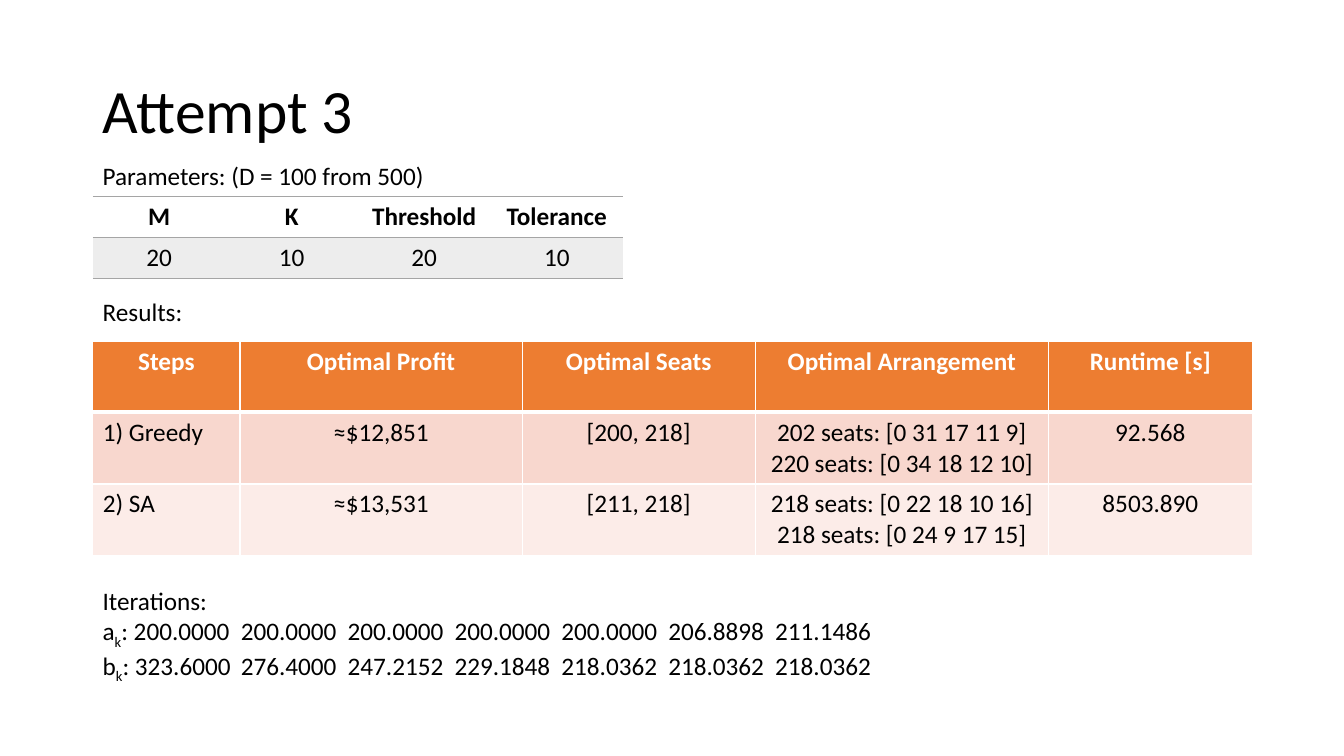
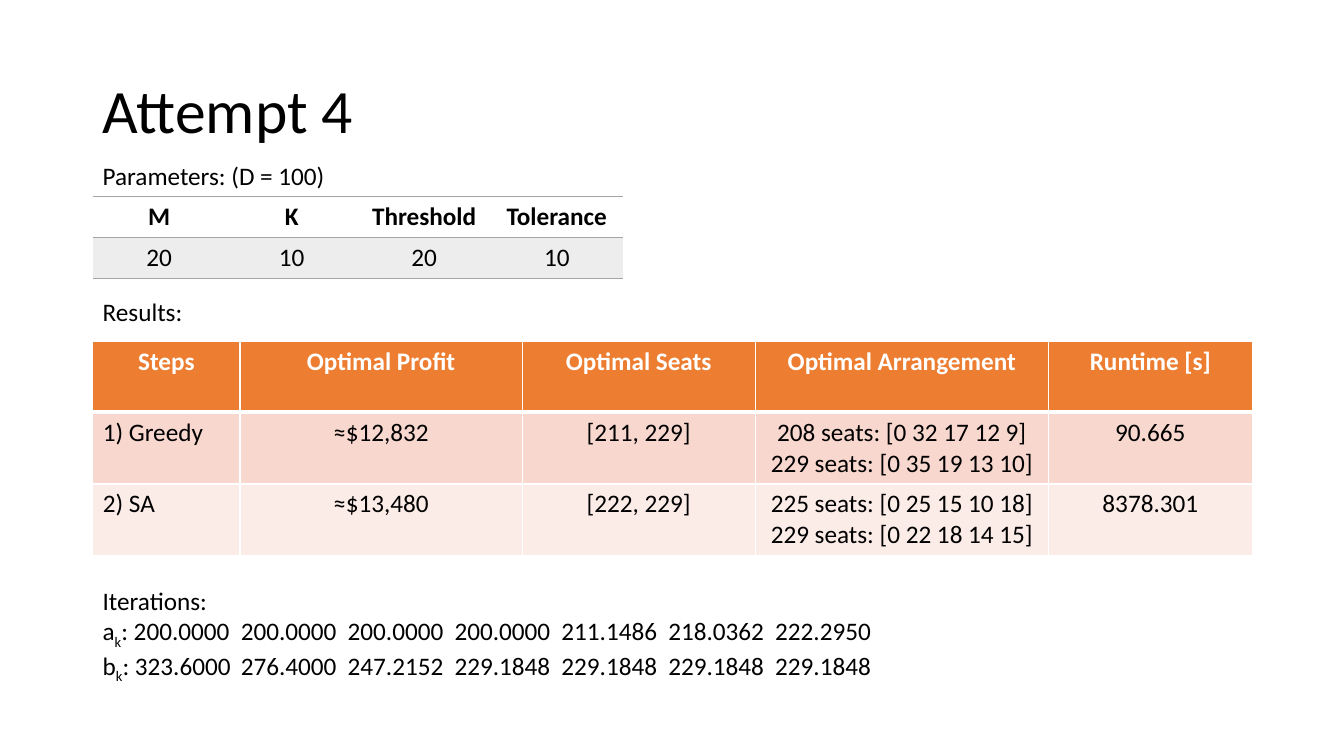
import pptx
import pptx.util
import pptx.dml.color
import pptx.enum.text
import pptx.oxml

Inches = pptx.util.Inches
RGBColor = pptx.dml.color.RGBColor
ALIGN = pptx.enum.text.PP_ALIGN
ANCHOR = pptx.enum.text.MSO_ANCHOR
FIT = pptx.enum.text.MSO_AUTO_SIZE

# Colours and shared measures
BLACK = RGBColor(0x00, 0x00, 0x00)
WHITE = RGBColor(0xFF, 0xFF, 0xFF)
GREY = RGBColor(0xA5, 0xA5, 0xA5)
PALE = RGBColor(0xED, 0xED, 0xED)
ORANGE = RGBColor(0xED, 0x7D, 0x31)
ROSE = RGBColor(0xF8, 0xD7, 0xCE)
BLUSH = RGBColor(0xFC, 0xEC, 0xE8)
LEFT, WIDE = 0.92, 11.5
NS = 'xmlns:a="http://schemas.openxmlformats.org/drawingml/2006/main"'


class Deck:
    """Holds the text style and the current slide."""

    font = {"name": "Calibri", "size": pptx.util.Pt(18), "bold": False}

    def __init__(self):
        self.file = pptx.Presentation()
        self.file.slide_width = Inches(13.33)
        self.file.slide_height = Inches(7.5)
        self.slide = None

    def style(self, run, color=BLACK, **more):
        for key, value in {**self.font, **more}.items():
            setattr(run.font, key, value)
        run.font.color.rgb = color

    def words(self, para, text, color=BLACK, **more):
        run = para.add_run()
        run.text = text
        self.style(run, color, **more)
        return run

    def title(self, text):
        self.slide = self.file.slides.add_slide(self.file.slide_layouts[5])
        head = self.slide.shapes.title
        place = {"left": LEFT, "top": 0.4, "width": WIDE, "height": 1.45}
        for key, value in place.items():
            setattr(head, key, Inches(value))
        head.text_frame.vertical_anchor = ANCHOR.MIDDLE
        para = head.text_frame.paragraphs[0]
        para.alignment = ALIGN.LEFT
        para.line_spacing = 0.9
        self.words(para, text, size=pptx.util.Pt(44))

    def text(self, top, width, height, text):
        box = self.slide.shapes.add_textbox(
            Inches(LEFT), Inches(top), Inches(width), Inches(height))
        frame = box.text_frame
        frame.word_wrap = True
        frame.auto_size = FIT.SHAPE_TO_FIT_TEXT
        self.words(frame.paragraphs[0], text)
        return frame

    def series(self, frame, name, values):
        """Adds a line of values under a subscripted name, set on tab stops."""
        para = frame.add_paragraph()
        self.words(para, name)
        sub = self.words(para, "k")
        sub._r.get_or_add_rPr().set("baseline", "-25000")
        self.words(para, ": " + "\t".join(values.split()))
        stops = "".join(f'<a:tab pos="{Inches(1.37 + 1.06 * i)}" algn="l"/>'
                        for i in range(len(values.split()) - 1))
        para._p.get_or_add_pPr().append(
            pptx.oxml.parse_xml(f"<a:tabLst {NS}>{stops}</a:tabLst>"))

    def border(self, cell, lines):
        """Draws the sides given as (colour, points); the others stay bare."""
        props = cell._tc.get_or_add_tcPr()
        for spot, side in enumerate("LRTB"):
            color, width = lines.get(side, (None, 0))
            paint = (f'<a:solidFill><a:srgbClr val="{color}"/></a:solidFill>'
                     if color else "<a:noFill/>")
            props.insert(spot, pptx.oxml.parse_xml(
                f'<a:ln{side} {NS} w="{pptx.util.Pt(width)}">{paint}</a:ln{side}>'))

    def table(self, top, cols, height, rows, fills, ink, edges, lefts=()):
        grid = self.slide.shapes.add_table(
            len(rows), len(cols), Inches(LEFT), Inches(top),
            Inches(sum(cols)), Inches(height * len(rows))).table
        grid.first_row = grid.horz_banding = False
        for col, width in zip(grid.columns, cols):
            col.width = Inches(width)
        for r, row in enumerate(rows):
            grid.rows[r].height = Inches(height)
            for c, text in enumerate(row):
                cell = grid.cell(r, c)
                if fills[r] is None:
                    cell.fill.background()
                else:
                    cell.fill.solid()
                    cell.fill.fore_color.rgb = fills[r]
                self.border(cell, edges[r])
                cell.text = text
                for para in cell.text_frame.paragraphs:
                    para.alignment = (ALIGN.LEFT if r and c in lefts
                                      else ALIGN.CENTER)
                    for run in para.runs:
                        self.style(run, BLACK if r else ink, bold=r == 0)

    def attempt(self, name, note, greedy, cooled, lows, highs):
        """Builds one slide of parameters, results and iterations."""
        self.title(name)

        # Parameters
        rule = (GREY, 1)
        self.table(1.95, [1.315] * 4, 0.405,
                   [["M", "K", "Threshold", "Tolerance"],
                    ["20", "10", "20", "10"]],
                   [None, PALE], BLACK, [{"T": rule, "B": rule}] * 2)

        # Results
        thin, thick = (WHITE, 1), (WHITE, 3)
        cage = dict.fromkeys("LRTB", thin)
        self.table(3.39, [1.46, 2.8, 2.31, 2.91, 2.02], 0.7,
                   [["Steps", "Optimal Profit", "Optimal Seats",
                     "Optimal Arrangement", "Runtime [s]"],
                    ["1) Greedy", *greedy], ["2) SA", *cooled]],
                   [ORANGE, ROSE, BLUSH], WHITE,
                   [{**cage, "B": thick}, {**cage, "T": thick}, cage],
                   lefts=(0,))

        # Labels and iterations
        self.text(1.54, 4.08, 0.4, f"Parameters: ({note})")
        self.text(2.89, 4.08, 0.4, "Results:")
        frame = self.text(5.76, WIDE, 1.01, "Iterations:")
        self.series(frame, "a", lows)
        self.series(frame, "b", highs)


def main():
    deck = Deck()
    deck.attempt(
        "Attempt 3", "D = 100 from 500",
        ["≈$12,851", "[200, 218]",
         "202 seats: [0 31 17 11 9]\n220 seats: [0 34 18 12 10]", "92.568"],
        ["≈$13,531", "[211, 218]",
         "218 seats: [0 22 18 10 16]\n218 seats: [0 24 9 17 15]", "8503.890"],
        "200.0000 200.0000 200.0000 200.0000 200.0000 206.8898 211.1486",
        "323.6000 276.4000 247.2152 229.1848 218.0362 218.0362 218.0362")
    deck.attempt(
        "Attempt 4", "D = 100",
        ["≈$12,832", "[211, 229]",
         "208 seats: [0 32 17 12 9]\n229 seats: [0 35 19 13 10]", "90.665"],
        ["≈$13,480", "[222, 229]",
         "225 seats: [0 25 15 10 18]\n229 seats: [0 22 18 14 15]", "8378.301"],
        "200.0000 200.0000 200.0000 200.0000 211.1486 218.0362 222.2950",
        "323.6000 276.4000 247.2152 229.1848 229.1848 229.1848 229.1848")
    deck.file.save("out.pptx")


if __name__ == "__main__":
    main()
